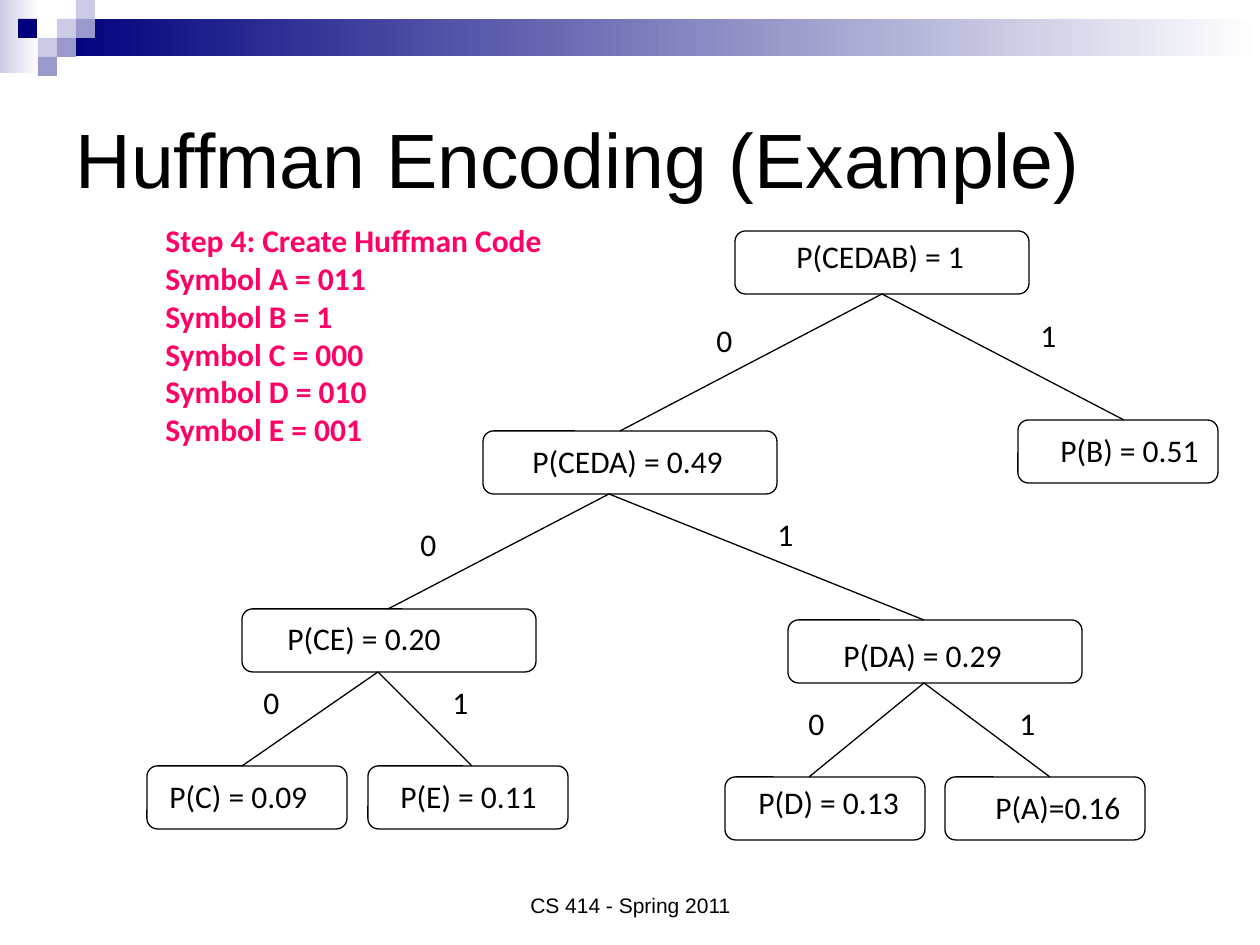
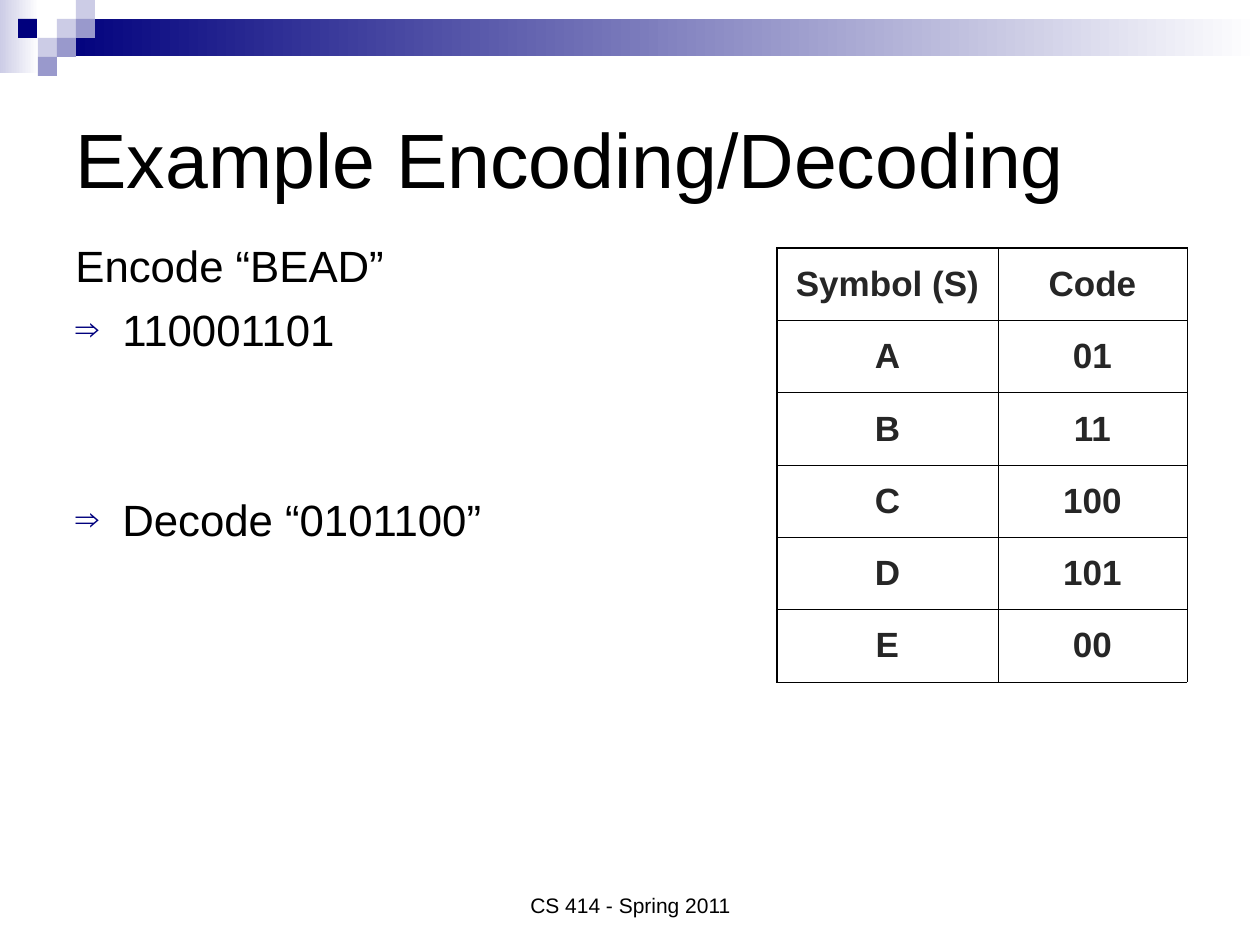
from lxml.etree import SubElement
from pptx import Presentation
from pptx.dml.color import RGBColor
from pptx.enum.shapes import MSO_CONNECTOR, MSO_SHAPE
from pptx.enum.text import MSO_ANCHOR as ANCHOR, PP_ALIGN as ALIGN
from pptx.oxml import parse_xml
from pptx.oxml.ns import nsdecls, qn
from pptx.util import Pt

PX = 914400 // 126  # EMU per pixel
BLACK = RGBColor(0x00, 0x00, 0x00)
CHARCOAL = RGBColor(0x26, 0x26, 0x26)
PINK = RGBColor(0xFF, 0x00, 0x66)
WHITE = RGBColor(0xFF, 0xFF, 0xFF)
NAVY = RGBColor(0x00, 0x00, 0x7D)
LILAC = RGBColor(0x99, 0x99, 0xCC)
PALE = RGBColor(0xCC, 0xCC, 0xE6)


def px(*lengths):
    return [round(length * PX) for length in lengths]


def write(frame, text, size=18, font="Calibri", color=BLACK, bold=False,
          align=ALIGN.LEFT, anchor=ANCHOR.TOP, wrap=True, before=0):
    """Fill a text frame, one paragraph for each line of text."""
    frame.text = text
    frame.word_wrap = wrap
    frame.vertical_anchor = anchor
    for paragraph in frame.paragraphs:
        paragraph.alignment = align
        paragraph.space_before = Pt(before)
        paragraph.font.size = Pt(size)
        paragraph.font.name = font
        paragraph.font.bold = bold
        paragraph.font.color.rgb = color


deck = Presentation()
deck.slide_width, deck.slide_height = px(1260, 945)

# Shared title, band, corner squares and footer
gradients = [(0, 0, 39, 73, PALE), (57, 19, 1203, 37, NAVY)]
squares = [(57, 19, PALE), (76, 0, PALE), (76, 19, LILAC), (38, 38, PALE),
           (18, 19, NAVY), (57, 38, LILAC), (38, 57, LILAC)]
slides = []
for heading in ("Huffman Encoding (Example)", "Example Encoding/Decoding"):
    slide = deck.slides.add_slide(deck.slide_layouts[5])
    slides.append(slide)
    for left, top, width, height, start in gradients:
        band = slide.shapes.add_shape(MSO_SHAPE.RECTANGLE, *px(left, top, width, height))
        band.shadow.inherit = False
        band.line.fill.background()
        band.fill.gradient()
        band.fill.gradient_angle = 0
        for stop, color in zip(band.fill.gradient_stops, (start, WHITE)):
            stop.color.rgb = color
    for left, top, color in squares:
        square = slide.shapes.add_shape(MSO_SHAPE.RECTANGLE, *px(left, top, 19, 19))
        square.shadow.inherit = False
        square.line.fill.background()
        square.fill.solid()
        square.fill.fore_color.rgb = color
    title = slide.shapes.title
    title.left, title.top, title.width, title.height = px(63, 63, 1134, 189)
    write(title.text_frame, heading, size=44, font="Arial", anchor=ANCHOR.MIDDLE)
    footer = slide.shapes.add_textbox(*px(431, 861, 399, 63))
    write(footer.text_frame, "CS 414 - Spring 2011", size=12, font="Arial",
          align=ALIGN.CENTER, anchor=ANCHOR.BOTTOM)

tree_slide, coding_slide = slides

# Tree nodes: box left, top and width, then label left, top and width
LEAF, INNER = 200, 294
nodes = [
    ("P(C) = 0.09", 147, 766, LEAF, 157, 771, 170),
    ("P(E) = 0.11", 368, 766, LEAF, 388, 771, 170),
    ("P(D) = 0.13", 725, 777, LEAF, 746, 777, 172),
    ("P(A)=0.16", 945, 777, LEAF, 983, 782, 158),
    ("P(B) = 0.51", 1018, 420, LEAF, 1048, 425, 170),
    ("P(CE) = 0.20", 242, 609, INNER, 275, 613, 186),
    ("P(DA) = 0.29", 788, 620, INNER, 831, 630, 192),
    ("P(CEDA) = 0.49", 483, 431, INNER, 520, 436, 223),
    ("P(CEDAB) = 1", 735, 231, INNER, 784, 231, 200),
]
for name, left, top, width, label_left, label_top, label_width in nodes:
    node = tree_slide.shapes.add_shape(MSO_SHAPE.ROUNDED_RECTANGLE, *px(left, top, width, 63))
    node.shadow.inherit = False
    node.fill.background()
    node.line.color.rgb = BLACK
    node.line.width = Pt(0.74)
    label = tree_slide.shapes.add_textbox(*px(label_left, label_top, label_width, 50))
    write(label.text_frame, name, wrap=False)

# Tree branches: parent point, then child point and digit place for 0 and 1
branches = [
    ((378, 672), [(242, 766, 251, 677), (472, 766, 440, 677)]),
    ((924, 683), [(809, 777, 796, 698), (1050, 777, 1007, 698)]),
    ((609, 494), [(388, 609, 408, 519), (924, 620, 765, 509)]),
    ((882, 294), [(620, 431, 704, 315), (1124, 420, 1028, 310)]),
]
for parent, children in branches:
    for bit, (x, y, bit_left, bit_top) in enumerate(children):
        branch = tree_slide.shapes.add_connector(MSO_CONNECTOR.STRAIGHT, *px(*parent, x, y))
        branch.line.color.rgb = BLACK
        branch.line.width = Pt(0.74)
        SubElement(branch._element.spPr, qn("a:effectLst"))
        digit = tree_slide.shapes.add_textbox(*px(bit_left, bit_top, 42, 50))
        write(digit.text_frame, str(bit), wrap=False)

# Resulting code list
code_list = tree_slide.shapes.add_textbox(*px(153, 215, 408, 239))
write(code_list.text_frame, "Step 4: Create Huffman Code\nSymbol A = 011\nSymbol B = 1\n"
      "Symbol C = 000\nSymbol D = 010\nSymbol E = 001", color=PINK, bold=True, wrap=False)

# Encoding and decoding tasks, the last two with arrow bullets
tasks = coding_slide.shapes.add_textbox(*px(63, 233, 588, 611)).text_frame
write(tasks, "Encode “BEAD”\n110001101\nDecode “0101100”", size=25, font="Arial")
for paragraph, before, bulleted in zip(tasks.paragraphs, (2, 6.5, 78.5), (False, True, True)):
    paragraph.space_before = Pt(before)
    properties = paragraph._p.get_or_add_pPr()
    properties.set("marL", str(47 * PX))
    properties.set("indent", str(-47 * PX))
    if bulleted:
        bullet_parts = (f'<a:buClr {nsdecls("a")}><a:srgbClr val="{NAVY}"/></a:buClr>',
                        f'<a:buSzPct {nsdecls("a")} val="75000"/>',
                        f'<a:buFont {nsdecls("a")} typeface="Arial"/>',
                        f'<a:buChar {nsdecls("a")} char="⇒"/>')
        run_defaults = properties.find(qn("a:defRPr"))
        for part in bullet_parts:
            run_defaults.addprevious(parse_xml(part))

# Code table with heavier left and top borders
codes = [("Symbol (S)", "Code"), ("A", "01"), ("B", "11"),
         ("C", "100"), ("D", "101"), ("E", "00")]
table = coding_slide.shapes.add_table(len(codes), 2, *px(777, 248, 410, 434)).table
table.first_row = table.horz_banding = False
for column, width in zip(table.columns, px(221, 189)):
    column.width = width
for row, entries in enumerate(codes):
    for col, entry in enumerate(entries):
        cell = table.cell(row, col)
        cell.fill.background()
        write(cell.text_frame, entry, size=20, font="Arial", color=CHARCOAL,
              bold=True, align=ALIGN.CENTER, before=5)
        cell.vertical_anchor = ANCHOR.MIDDLE
        heavy_edges = {"lnL": col == 0, "lnR": False, "lnT": row == 0, "lnB": False}
        cell_properties = cell._tc.get_or_add_tcPr()
        for place, (edge, heavy) in enumerate(heavy_edges.items()):
            weight = Pt(1.08 if heavy else 0.45)
            cell_properties.insert(place, parse_xml(
                f'<a:{edge} {nsdecls("a")} w="{weight}"><a:solidFill>'
                f'<a:srgbClr val="{BLACK}"/></a:solidFill></a:{edge}>'))

deck.save("out.pptx")
